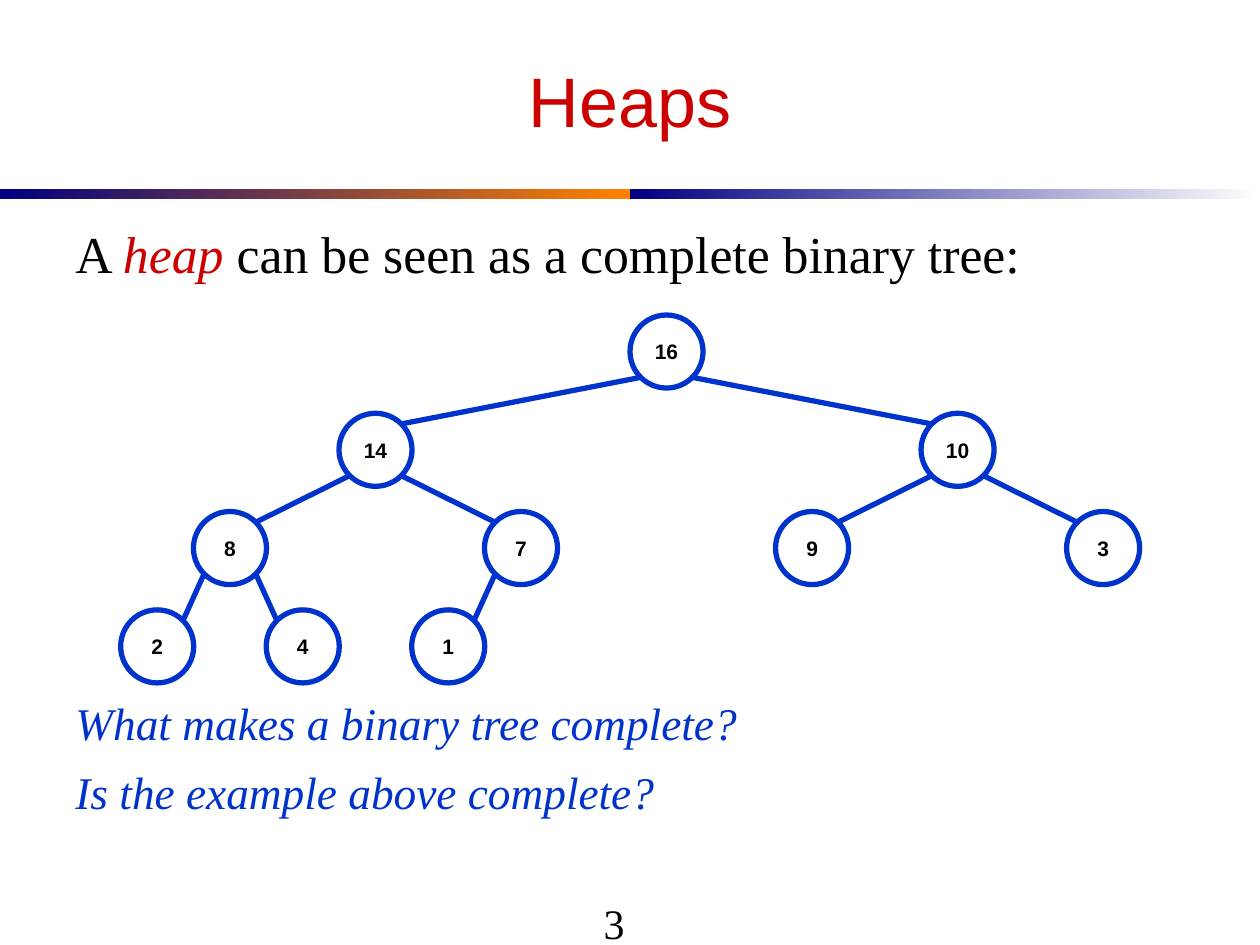
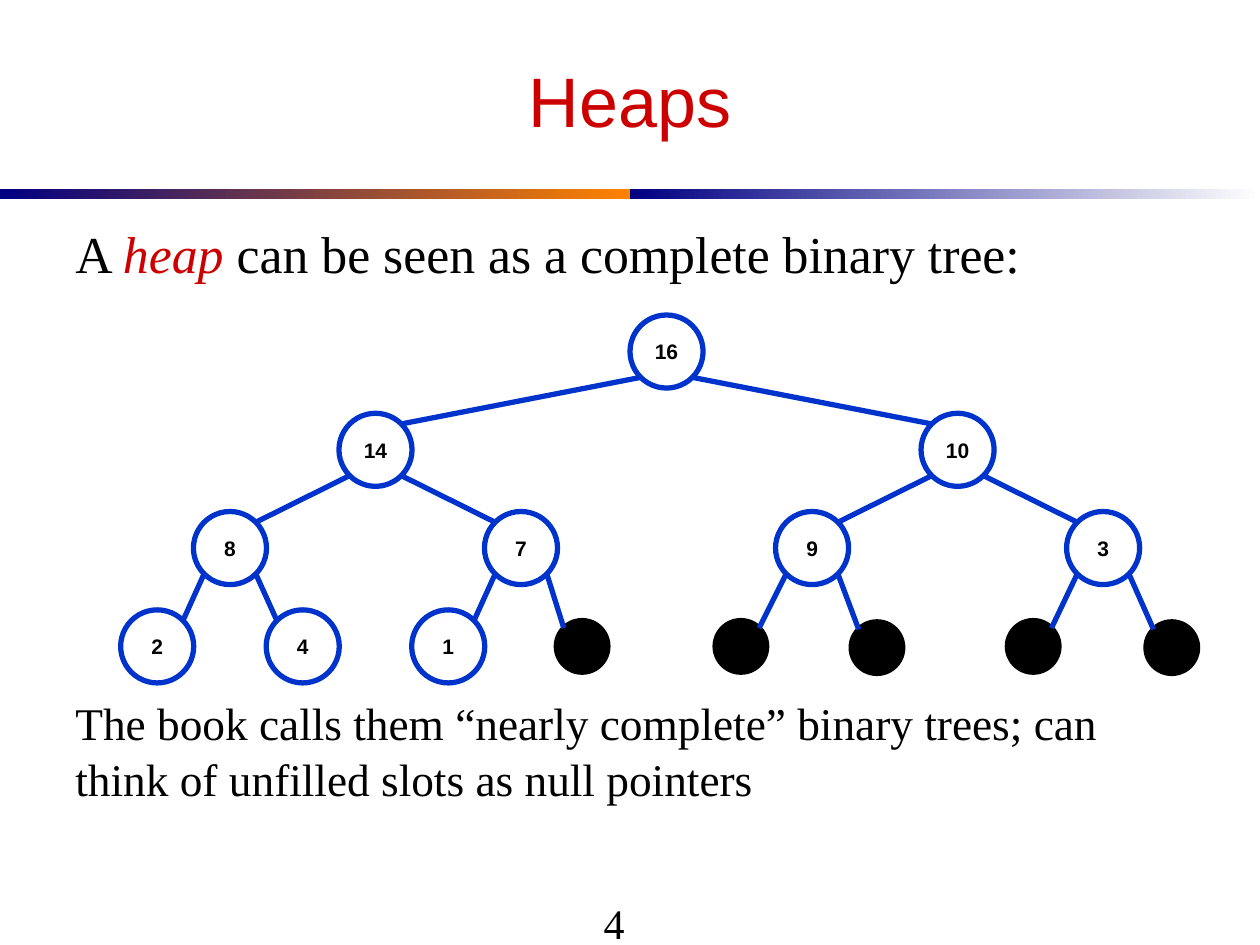
"""Build two slides that show a heap as a complete binary tree."""
from math import sqrt

from pptx import Presentation
from pptx.dml.color import RGBColor
from pptx.enum.shapes import MSO_CONNECTOR, MSO_SHAPE
from pptx.enum.text import MSO_ANCHOR as ANCHOR, PP_ALIGN as ALIGN
from pptx.oxml.ns import qn
from pptx.util import Inches, Pt

RED, BLUE, BLACK, WHITE = "CC0000", "0033CC", "000000", "FFFFFF"
NAVY, ORANGE = "000082", "FF8200"
SANS, SERIF = "Arial", "Times New Roman"

TITLE = "Heaps"
BANDS = [(0, NAVY, ORANGE), (5, NAVY, WHITE)]
INTRO = [[("A ", {}), ("heap", {"color": RED, "italic": True}),
          (" can be seen as a complete binary tree:", {})]]
HEAP = [16, 14, 10, 8, 7, 9, 3, 2, 4, 1]
QUESTION = {"color": BLUE, "italic": True}
SLIDES = [
    {"number": "3", "null_centers": [],
     "notes": [[("What makes a binary tree complete?", QUESTION)],
               [("Is the example above complete?", QUESTION)]]},
    {"number": "4",
     "null_centers": [(4.62, 5.13), (5.88, 5.13), (6.96, 5.14), (8.2, 5.13), (9.3, 5.14)],
     "notes": [[("The book calls them “nearly complete” binary trees; "
                 "can think of unfilled slots as null pointers", {})]]},
]

ROOT_X, ROOT_Y = 5.29, 2.79
TREE_WIDTH, LEVEL_GAP = 9.24, 0.78
NODE_SIZE, NULL_SIZE = 0.58, 0.41


def rgb(color):
    return RGBColor.from_string(color)


def write(tf, text, size=12, font=SERIF, color=BLACK, bold=False, italic=False,
          align=ALIGN.LEFT, anchor=ANCHOR.TOP, wrap=True, before=0, spacing=1.0):
    """Fill a text frame with a string or with paragraphs of (text, format) runs."""
    tf.word_wrap, tf.vertical_anchor = wrap, anchor
    paragraphs = [[(text, {})]] if isinstance(text, str) else text
    for i, runs in enumerate(paragraphs):
        p = tf.add_paragraph() if i else tf.paragraphs[0]
        p.alignment, p.line_spacing = align, spacing
        p.space_before = Pt(before if i else 0)
        for content, own in runs:
            look = {"color": color, "italic": italic, **own}
            r = p.add_run()
            r.text = content
            r.font.name, r.font.size = font, Pt(size)
            r.font.bold, r.font.italic = bold, look["italic"]
            r.font.color.rgb = rgb(look["color"])


def add_text(s, box, text, **fmt):
    tf = s.shapes.add_textbox(*map(Inches, box)).text_frame
    write(tf, text, **fmt)
    return tf


def add_band(s, left, start, end):
    sp = s.shapes.add_shape(MSO_SHAPE.RECTANGLE, *map(Inches, (left, 1.5, 5, 0.08)))
    sp.shadow.inherit = False
    sp.line.fill.background()
    sp.fill.gradient()
    sp.fill.gradient_angle = 0
    for stop, color, position in zip(sp.fill.gradient_stops, (start, end), (0, 1)):
        stop.color.rgb, stop.position = rgb(color), position


def add_circle(s, center, size, fill, line):
    x, y = center
    sp = s.shapes.add_shape(MSO_SHAPE.OVAL, *map(Inches, (x - size / 2, y - size / 2, size, size)))
    sp.shadow.inherit = False
    sp.fill.solid()
    sp.fill.fore_color.rgb = rgb(fill)
    sp.line.color.rgb, sp.line.width = rgb(line), Pt(3)
    return sp


def add_edge(s, parent, child, child_size, side):
    """Join the lower corner of a parent to the upper corner of its child."""
    out, into = NODE_SIZE / 2 / sqrt(2), child_size / 2 / sqrt(2)
    ends = (parent[0] + side * out, parent[1] + out, child[0] - side * into, child[1] - into)
    line = s.shapes.add_connector(MSO_CONNECTOR.STRAIGHT, *map(Inches, ends))
    line.line.color.rgb, line.line.width = rgb(BLUE), Pt(3)
    sp_pr = line._element.spPr
    sp_pr.append(sp_pr.makeelement(qn("a:effectLst"), {}))


def node_center(index):
    level = (index + 1).bit_length() - 1
    column = index + 1 - 2 ** level
    x = ROOT_X - TREE_WIDTH / 2 + (column + 0.5) * TREE_WIDTH / 2 ** level
    return x, ROOT_Y + level * LEVEL_GAP


def add_tree(s, null_centers):
    centers = [node_center(i) for i in range(len(HEAP))] + null_centers
    sizes = [NODE_SIZE] * len(HEAP) + [NULL_SIZE] * len(null_centers)
    for key, center in zip(HEAP, centers):
        sp = add_circle(s, center, NODE_SIZE, WHITE, BLUE)
        write(sp.text_frame, str(key), font=SANS, bold=True, align=ALIGN.CENTER,
              anchor=ANCHOR.MIDDLE, wrap=False)
    for center in null_centers:
        add_circle(s, center, NULL_SIZE, BLACK, BLACK)
    for i in range(1, len(centers)):
        add_edge(s, centers[(i - 1) // 2], centers[i], sizes[i], -1 if i % 2 else 1)


def add_frame(s, number):
    """Add the title, bands and page number that every slide has."""
    for band in BANDS:
        add_band(s, *band)
    add_text(s, (0.5, 0.25, 9, 1.08), TITLE, size=40, font=SANS, color=RED,
             align=ALIGN.CENTER, anchor=ANCHOR.MIDDLE)
    tf = add_text(s, (0.5, 6.88, 8.99, 0.89), number, size=24, anchor=ANCHOR.MIDDLE)
    tf.margin_left = Inches(4.29)


def main():
    prs = Presentation()
    prs.slide_width, prs.slide_height = Inches(10), Inches(7.5)
    for content in SLIDES:
        s = prs.slides.add_slide(prs.slide_layouts[6])
        add_frame(s, content["number"])
        add_text(s, (0.5, 1.69, 9, 0.6), INTRO, size=29.6, spacing=1.04)
        add_text(s, (0.5, 5.45, 9, 1), content["notes"], size=25.9, before=7, spacing=1.04)
        add_tree(s, content["null_centers"])
    prs.save("out.pptx")


if __name__ == "__main__":
    main()
